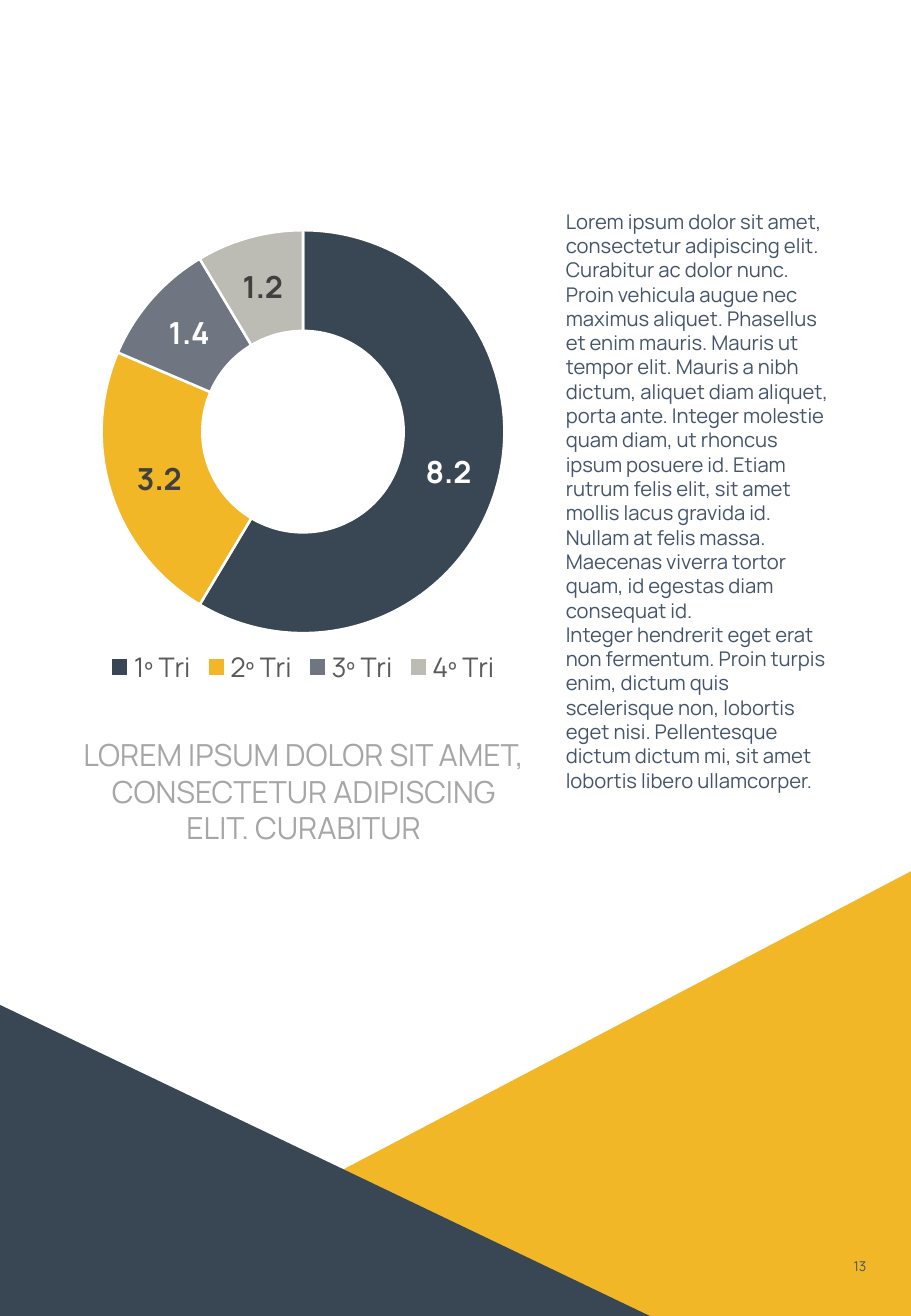
from lxml.etree import SubElement
from pptx import Presentation
from pptx.chart.data import CategoryChartData
from pptx.dml.color import RGBColor
from pptx.enum.chart import XL_CHART_TYPE, XL_LEGEND_POSITION
from pptx.enum.shapes import MSO_SHAPE
from pptx.enum.text import MSO_ANCHOR, PP_ALIGN
from pptx.oxml.ns import qn
from pptx.util import Inches, Pt

WHITE = RGBColor(0xFF, 0xFF, 0xFF)
NAVY = RGBColor(0x38, 0x47, 0x53)
GOLD = RGBColor(0xF1, 0xB7, 0x27)
SLATE = RGBColor(0x6F, 0x75, 0x81)
STONE = RGBColor(0xBC, 0xBC, 0xB4)
INK = RGBColor(0x44, 0x54, 0x6A)
PALE = RGBColor(0xA6, 0xA6, 0xA6)
DARK = RGBColor(0x40, 0x40, 0x40)
GREY = RGBColor(0x59, 0x59, 0x59)

BODY = (
    "Lorem ipsum dolor sit amet, consectetur adipiscing elit. Curabitur ac dolor nunc. "
    "Proin vehicula augue nec maximus aliquet. Phasellus et enim mauris. Mauris ut tempor elit. "
    "Mauris a nibh dictum, aliquet diam aliquet, porta ante. Integer molestie quam diam, "
    "ut rhoncus ipsum posuere id. Etiam rutrum felis elit, sit amet mollis lacus gravida id. "
    "Nullam at felis massa. Maecenas viverra tortor quam, id egestas diam consequat id.\n"
    "Integer hendrerit eget erat non fermentum. Proin turpis enim, dictum quis scelerisque non, "
    "lobortis eget nisi. Pellentesque dictum dictum mi, sit amet lobortis libero ullamcorper."
)


def style(font, size, color, bold=False):
    font.name = "Manrope"
    font.size = Pt(size)
    font.bold = bold
    font.color.rgb = color


def write(shape, text, size, color, center=True):
    frame = shape.text_frame
    frame.word_wrap = True
    frame.text = text
    if center:
        frame.vertical_anchor = MSO_ANCHOR.MIDDLE
        frame.margin_left = frame.margin_right = 0
        frame.margin_top = frame.margin_bottom = 0
    for para in frame.paragraphs:
        para.alignment = PP_ALIGN.CENTER if center else PP_ALIGN.LEFT
        for run in para.runs:
            style(run.font, size, color)


deck = Presentation()
deck.slide_width = Inches(7.5)
deck.slide_height = Inches(10.83)
slide = deck.slides.add_slide(deck.slide_layouts[6])
shapes = slide.shapes

for left, top, width, height, peak, color in (
    (0.53, 7.17, 6.97, 3.66, 1, GOLD),
    (0, 8.27, 5.35, 2.56, 0, NAVY),
):
    wedge = shapes.add_shape(
        MSO_SHAPE.ISOSCELES_TRIANGLE,
        Inches(left), Inches(top), Inches(width), Inches(height))
    wedge.adjustments[0] = peak
    wedge.shadow.inherit = False
    wedge.fill.solid()
    wedge.fill.fore_color.rgb = color
    wedge.line.fill.background()

badge = shapes.add_shape(
    MSO_SHAPE.RECTANGLE, Inches(6.97), Inches(10.31), Inches(0.22), Inches(0.22))
badge.shadow.inherit = False
badge.fill.solid()
badge.fill.fore_color.rgb = GOLD
badge.line.fill.background()
write(badge, "13", 8, INK)

body = shapes.add_textbox(Inches(4.56), Inches(1.67), Inches(2.41), Inches(4.95))
write(body, BODY, 12, INK, center=False)

quote = shapes.add_textbox(Inches(0.64), Inches(5.72), Inches(3.72), Inches(1.58))
write(quote, "LOREM IPSUM DOLOR SIT AMET, CONSECTETUR ADIPISCING ELIT. CURABITUR", 18, PALE)

data = CategoryChartData()
data.categories = ["1º Tri", "2º Tri", "3º Tri", "4º Tri"]
data.add_series("Series 1", (8.2, 3.2, 1.4, 1.2))
chart = shapes.add_chart(
    XL_CHART_TYPE.DOUGHNUT,
    Inches(-0.41), Inches(1.81), Inches(5.81), Inches(3.87), data).chart
chart.has_title = False
chart.font.name = "Manrope"
chart.font.size = Pt(16)
chart.has_legend = True
chart.legend.position = XL_LEGEND_POSITION.BOTTOM
chart.legend.include_in_layout = False
style(chart.legend.font, 16, GREY)

plot = chart.plots[0]
plot.vary_by_categories = True
ring = plot.series[0]
ring.data_labels.show_value = True
style(ring.data_labels.font, 18, DARK, bold=True)
for i, color in enumerate((NAVY, GOLD, SLATE, STONE)):
    point = ring.points[i]
    point.format.fill.solid()
    point.format.fill.fore_color.rgb = color
    point.format.line.color.rgb = WHITE
    point.format.line.width = Pt(1.5)
    if color in (NAVY, SLATE):
        style(point.data_label.font, 18, WHITE, bold=True)

space = chart.element
space.find(".//" + qn("c:holeSize")).set("val", "63")
area = space.find(".//" + qn("c:plotArea"))
layout = area.find(qn("c:layout"))
if layout is None:
    layout = SubElement(area, qn("c:layout"))
    area.insert(0, layout)
manual = SubElement(layout, qn("c:manualLayout"))
for tag, value in (
    ("layoutTarget", "inner"), ("xMode", "edge"), ("yMode", "edge"),
    ("x", "0.214"), ("y", "0.022"), ("w", "0.572"), ("h", "0.857"),
):
    SubElement(manual, qn("c:" + tag)).set("val", value)

deck.save("out.pptx")
